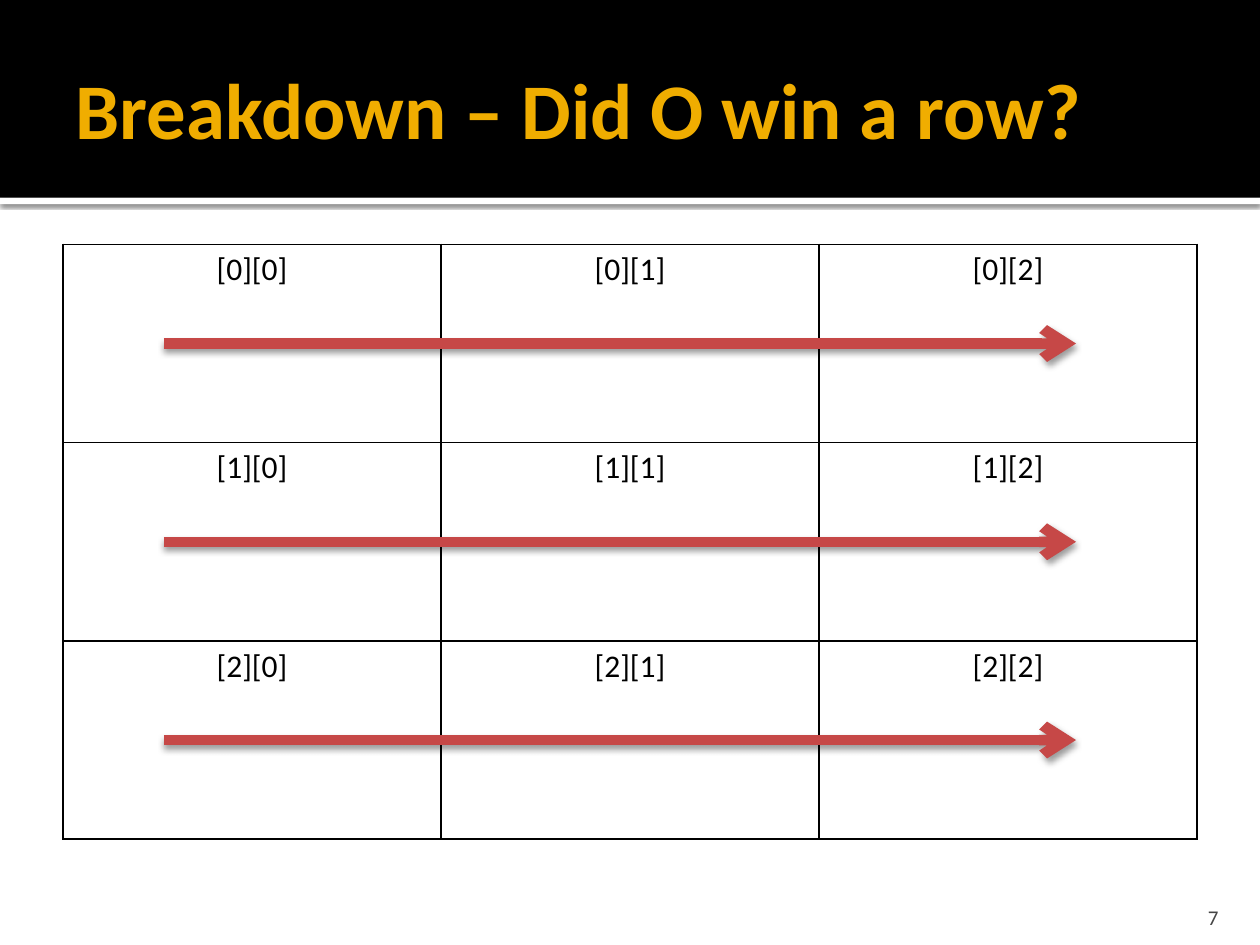
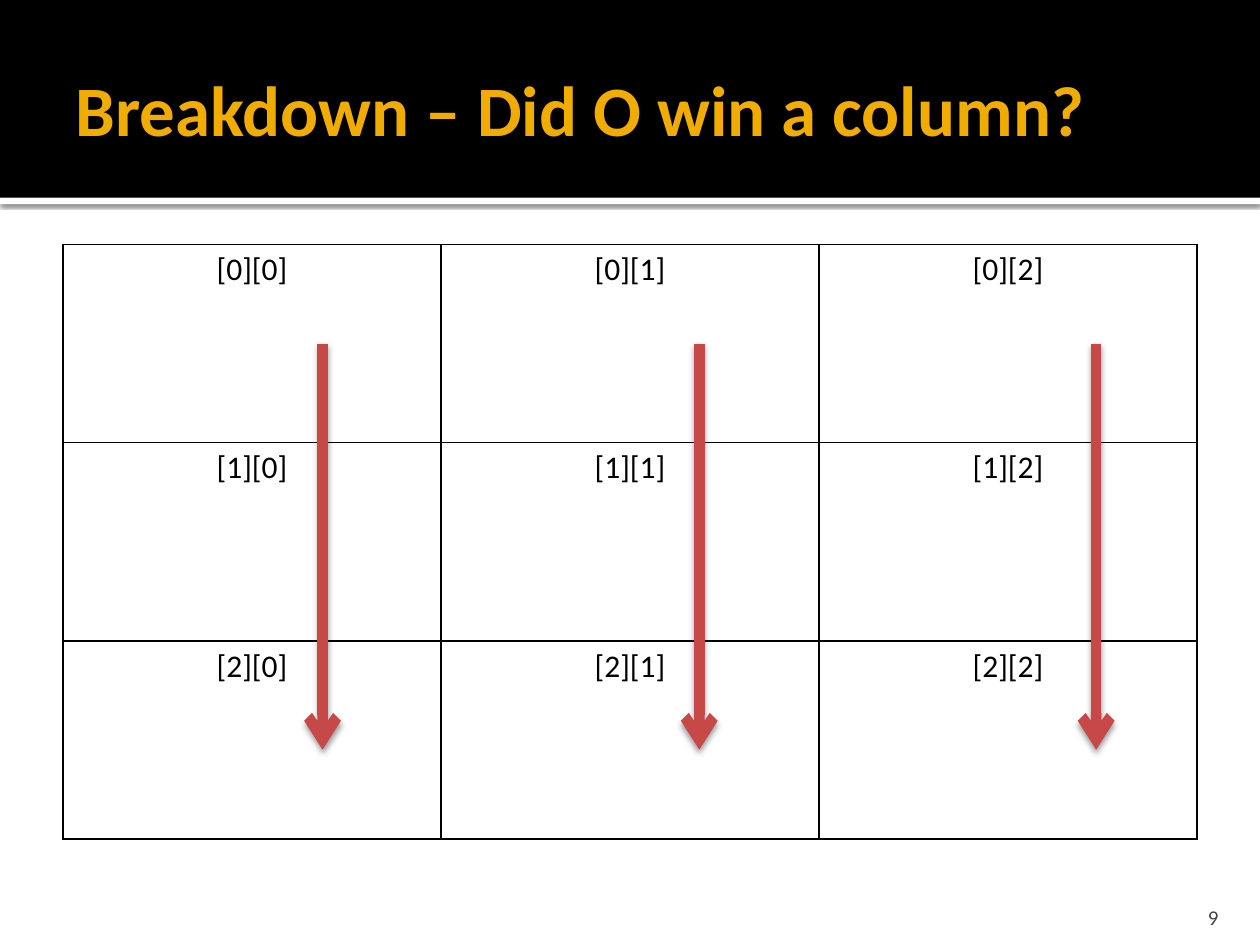
from lxml import etree
from pptx import Presentation
from pptx.dml import color
from pptx.enum import shapes, text
from pptx.oxml import ns
from pptx.util import Inches, Pt

FONT = "Calibri"
COLORS = {"band": "000000", "rule": "FFFFFF", "title": "F0AD00", "grid": "000000",
          "number": "454545", "arrow": "C64847", "shadow": "000000"}

GRID_SIZE = 3
GRID_LEFT, GRID_TOP, GRID_WIDTH, GRID_HEIGHT = 0.5, 1.94, 9, 4.72
ROW_HEIGHT = GRID_HEIGHT / GRID_SIZE
ROW_MIDDLES = [GRID_TOP + ROW_HEIGHT * (row + 0.5) for row in range(GRID_SIZE)]

# Arrows are (x1, y1, x2, y2) in inches
SLIDES = [
    {"title": "Breakdown – Did O win a row?", "title_size": 45, "number": "7",
     "arrows": [(1.3, y, 8.54, y) for y in ROW_MIDDLES]},
    {"title": "Breakdown – Did O win a column?", "title_size": 40.5, "number": "9",
     "arrows": [(x, ROW_MIDDLES[0], x, 5.95) for x in (2.56, 5.55, 8.7)]},
]


def rgb(name):
    return color.RGBColor.from_string(COLORS[name])


def add_xml(parent, tag, **attributes):
    return etree.SubElement(parent, ns.qn(tag), attributes)


def write(frame, words, size, ink, bold=False, align=text.PP_ALIGN.LEFT):
    paragraph = frame.paragraphs[0]
    paragraph.alignment = align
    run = paragraph.add_run()
    run.text = words
    run.font.name, run.font.size, run.font.bold = FONT, Pt(size), bold
    run.font.color.rgb = rgb(ink)


def set_frame(frame, anchor, insets):
    """Insets are left, top, right, bottom in inches."""
    frame.word_wrap = True
    frame.auto_size = text.MSO_AUTO_SIZE.NONE
    frame.vertical_anchor = anchor
    (frame.margin_left, frame.margin_top,
     frame.margin_right, frame.margin_bottom) = map(Inches, insets)


def add_shadow(effects, opacity, blur, distance):
    """Cast a shadow straight down."""
    shadow = add_xml(effects, "a:outerShdw", blurRad=str(Pt(blur)), dist=str(Pt(distance)),
                     dir=str(90 * 60000), algn="tl", rotWithShape="0")
    ink = add_xml(shadow, "a:srgbClr", val=COLORS["shadow"])
    add_xml(ink, "a:alpha", val=str(opacity * 1000))


def add_band(slide, top, height, fill):
    band = slide.shapes.add_shape(shapes.MSO_SHAPE.RECTANGLE, 0, Inches(top),
                                  Inches(10), Inches(height))
    band.fill.solid()
    band.fill.fore_color.rgb = rgb(fill)
    band.line.fill.background()
    band.shadow.inherit = False
    return band


def add_header_to_layout(slide, layout):
    """Draw the header on a slide, then move it behind the layout's placeholders."""
    rule = add_band(slide, 1.57, 0.05, "rule")
    add_shadow(rule._element.spPr.find(ns.qn("a:effectLst")), 60, 2.5, 0.8)
    header = add_band(slide, 0, 1.57, "band")
    for position, part in enumerate((rule, header), start=2):
        layout.shapes._spTree.insert(position, part._element)


def add_title(slide, words, size):
    title = slide.shapes.title
    title.left, title.top, title.width, title.height = map(Inches, (0.5, 0.17, 9, 1.37))
    set_frame(title.text_frame, text.MSO_ANCHOR.MIDDLE, (0.1, 0.05, 0.05, 0.05))
    write(title.text_frame, words, size, "title", bold=True)


def add_border(cell):
    properties = cell._tc.get_or_add_tcPr()
    for side in ("a:lnL", "a:lnR", "a:lnT", "a:lnB"):
        line = add_xml(properties, side, w=str(Pt(1)))
        add_xml(add_xml(line, "a:solidFill"), "a:srgbClr", val=COLORS["grid"])


def add_board(slide):
    board = slide.shapes.add_table(GRID_SIZE, GRID_SIZE, *map(
        Inches, (GRID_LEFT, GRID_TOP, GRID_WIDTH, GRID_HEIGHT))).table
    board.first_row = board.horz_banding = False
    for row in range(GRID_SIZE):
        for column in range(GRID_SIZE):
            cell = board.cell(row, column)
            add_border(cell)
            cell.fill.background()
            write(cell.text_frame, f"[{row}][{column}]", 18, "grid",
                  align=text.PP_ALIGN.CENTER)


def add_number(slide, number):
    box = slide.shapes.add_textbox(*map(Inches, (8.97, 7.08, 0.8, 0.3)))
    set_frame(box.text_frame, text.MSO_ANCHOR.BOTTOM, (0.1, 0.05, 0.1, 0))
    write(box.text_frame, number, 12, "number", align=text.PP_ALIGN.RIGHT)


def add_arrow(slide, ends):
    arrow = slide.shapes.add_connector(shapes.MSO_CONNECTOR.STRAIGHT, *map(Inches, ends))
    arrow.line.color.rgb = rgb("arrow")
    arrow.line.width = Pt(6)
    add_xml(arrow.line._get_or_add_ln(), "a:tailEnd", type="arrow")
    add_shadow(add_xml(arrow._element.spPr, "a:effectLst"), 38, 3.5, 2)


def main():
    deck = Presentation()
    deck.slide_width, deck.slide_height = Inches(10), Inches(7.5)
    title_only = deck.slide_layouts[5]
    for index, content in enumerate(SLIDES):
        slide = deck.slides.add_slide(title_only)
        if index == 0:
            add_header_to_layout(slide, title_only)
        add_title(slide, content["title"], content["title_size"])
        add_board(slide)
        add_number(slide, content["number"])
        for ends in content["arrows"]:
            add_arrow(slide, ends)
    deck.save("out.pptx")


if __name__ == "__main__":
    main()
